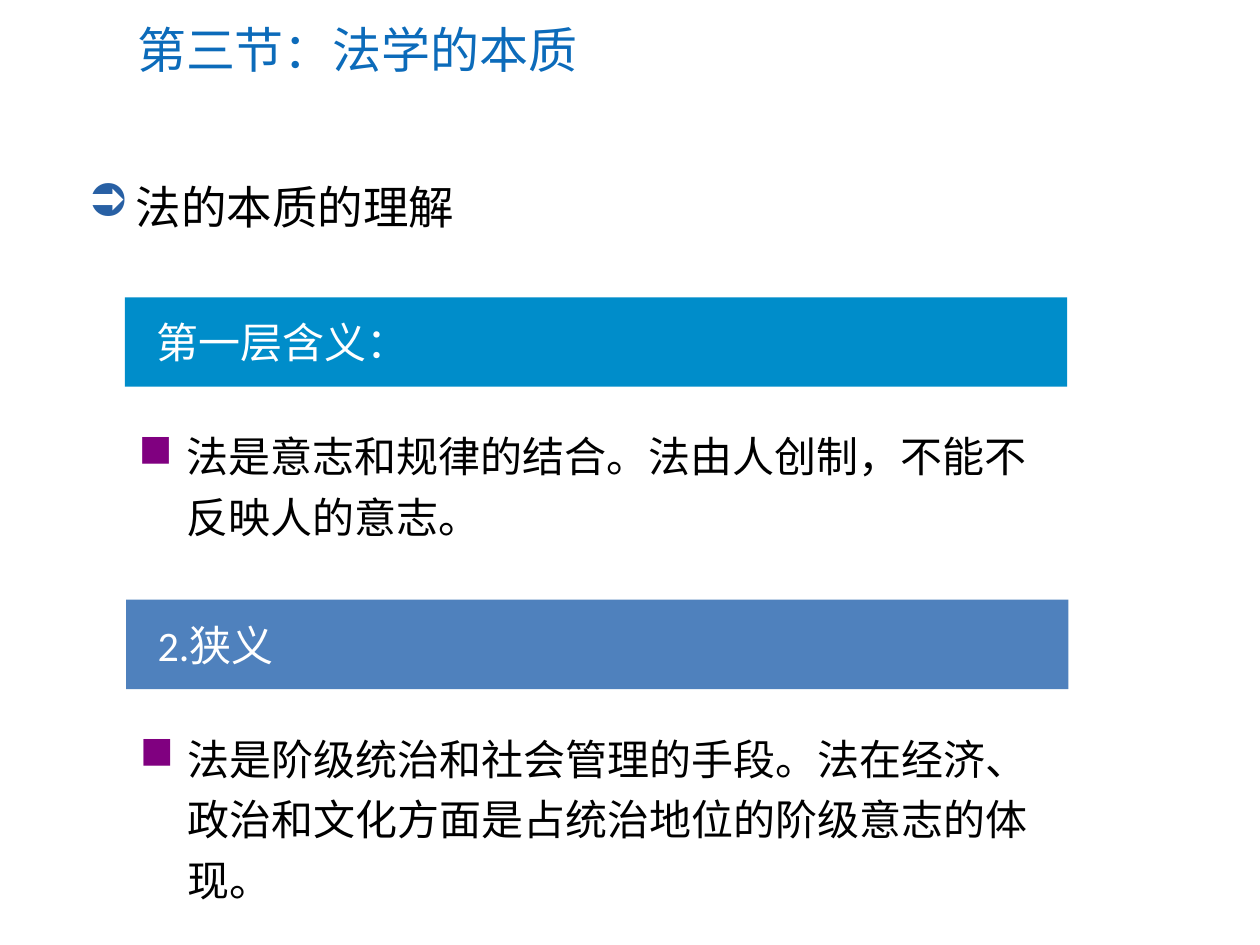
from lxml import etree
from pptx import Presentation
from pptx.dml.color import RGBColor
from pptx.enum.shapes import MSO_SHAPE
from pptx.enum.text import MSO_ANCHOR, PP_ALIGN
from pptx.oxml.ns import qn
from pptx.util import Inches, Pt

RECT = MSO_SHAPE.RECTANGLE
MIDDLE, TOP = MSO_ANCHOR.MIDDLE, MSO_ANCHOR.TOP
LEFT = PP_ALIGN.LEFT
FONT = "Calibri"


def color(value):
    """Return the colour for a hex string."""
    return RGBColor.from_string(value)


def add_bullet(p, char, value, size=100, indent=0.38):
    """Give a paragraph a coloured bullet with a hanging indent."""
    pPr = p._p.get_or_add_pPr()
    pPr.set("marL", str(Inches(indent)))
    pPr.set("indent", str(-Inches(indent)))
    clr = etree.SubElement(pPr, qn("a:buClr"))
    etree.SubElement(clr, qn("a:srgbClr"), val=value)
    etree.SubElement(pPr, qn("a:buSzPct"), val=str(size * 1000))
    etree.SubElement(pPr, qn("a:buChar"), char=char)


def write(sp, text, size, value, anchor=TOP, inset=0.1, **spacing):
    """Fill a shape with one formatted paragraph and return it."""
    tf = sp.text_frame
    frame = {"word_wrap": True, "vertical_anchor": anchor, "margin_left": Inches(inset)}
    for name, setting in frame.items():
        setattr(tf, name, setting)
    p = tf.paragraphs[0]
    for name, setting in {"alignment": LEFT, **spacing}.items():
        setattr(p, name, setting)
    r = p.add_run()
    r.text = text
    for name, setting in {"name": FONT, "size": Pt(size)}.items():
        setattr(r.font, name, setting)
    r.font.color.rgb = color(value)
    return p


def add_text(s, box, *args, **kwargs):
    """Add a text box and return its paragraph."""
    return write(s.shapes.add_textbox(*map(Inches, box)), *args, **kwargs)


def add_heading(s, x, y):
    """Place the title and the topic line from the given corner."""
    add_text(s, (x + 0.39, y, 8.72, 0.58), "第三节：法学的本质", 28, "0C6BBA", MIDDLE)
    p = add_text(s, (x, y + 1.27, 7.56, 0.66), "法的本质的理解", 26, "000000",
                 space_before=Pt(5))
    add_bullet(p, "➲", "2860A4")


def add_section(s, box, fill, title, body):
    """Place a coloured band at the top of the box and its bullet text below."""
    x, y, w, h = box
    band_h, body_y = 0.71, 0.93
    band = s.shapes.add_shape(RECT, *map(Inches, (x, y, w, band_h)))
    band.shadow.inherit = False
    band.fill.solid()
    band.fill.fore_color.rgb = color(fill)
    band.line.fill.background()
    write(band, title, 24, "FFFFFF", MIDDLE, 0.25, space_before=Pt(5))
    p = add_text(s, (x + 0.01, y + body_y, w, h - body_y), body, 24, "000000",
                 line_spacing=1.2, space_before=Pt(5))
    add_bullet(p, "■", "800080", 110)


def build():
    """Build and save the slide."""
    prs = Presentation()
    prs.slide_width, prs.slide_height = Inches(10), Inches(7.5)
    s = prs.slides.add_slide(prs.slide_layouts[6])
    add_heading(s, 0.6, 0.1)
    sections = [
        ((0.99, 2.36, 7.48, 1.95), "008DCA", "第一层含义：",
         "法是意志和规律的结合。法由人创制，不能不反映人的意志。"),
        ((1, 4.76, 7.48, 2.41), "4F81BD", "2.狭义",
         "法是阶级统治和社会管理的手段。法在经济、政治和文化方面是占统治地位的阶级意志的体现。"),
    ]
    for section in sections:
        add_section(s, *section)
    prs.save("out.pptx")


build()
